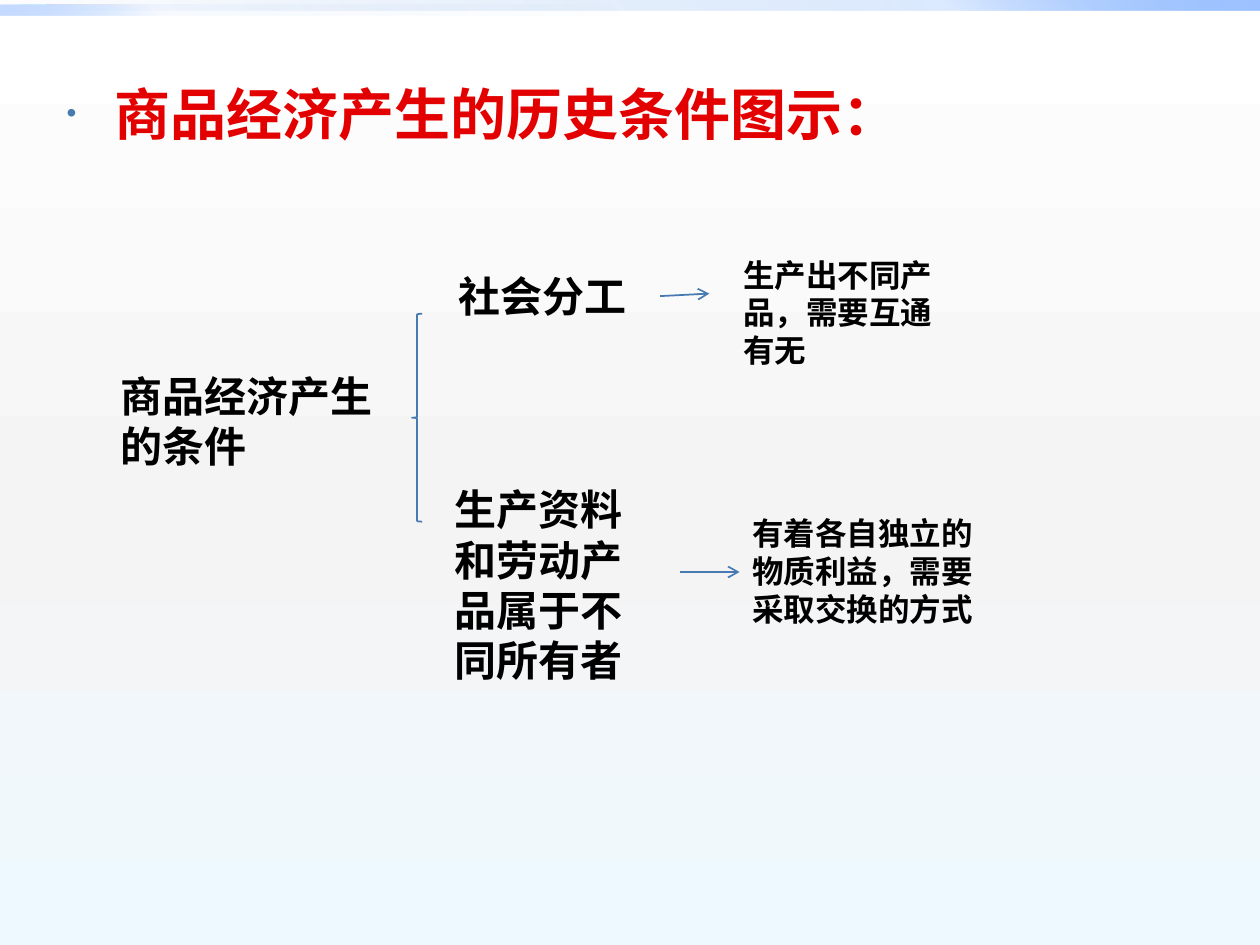
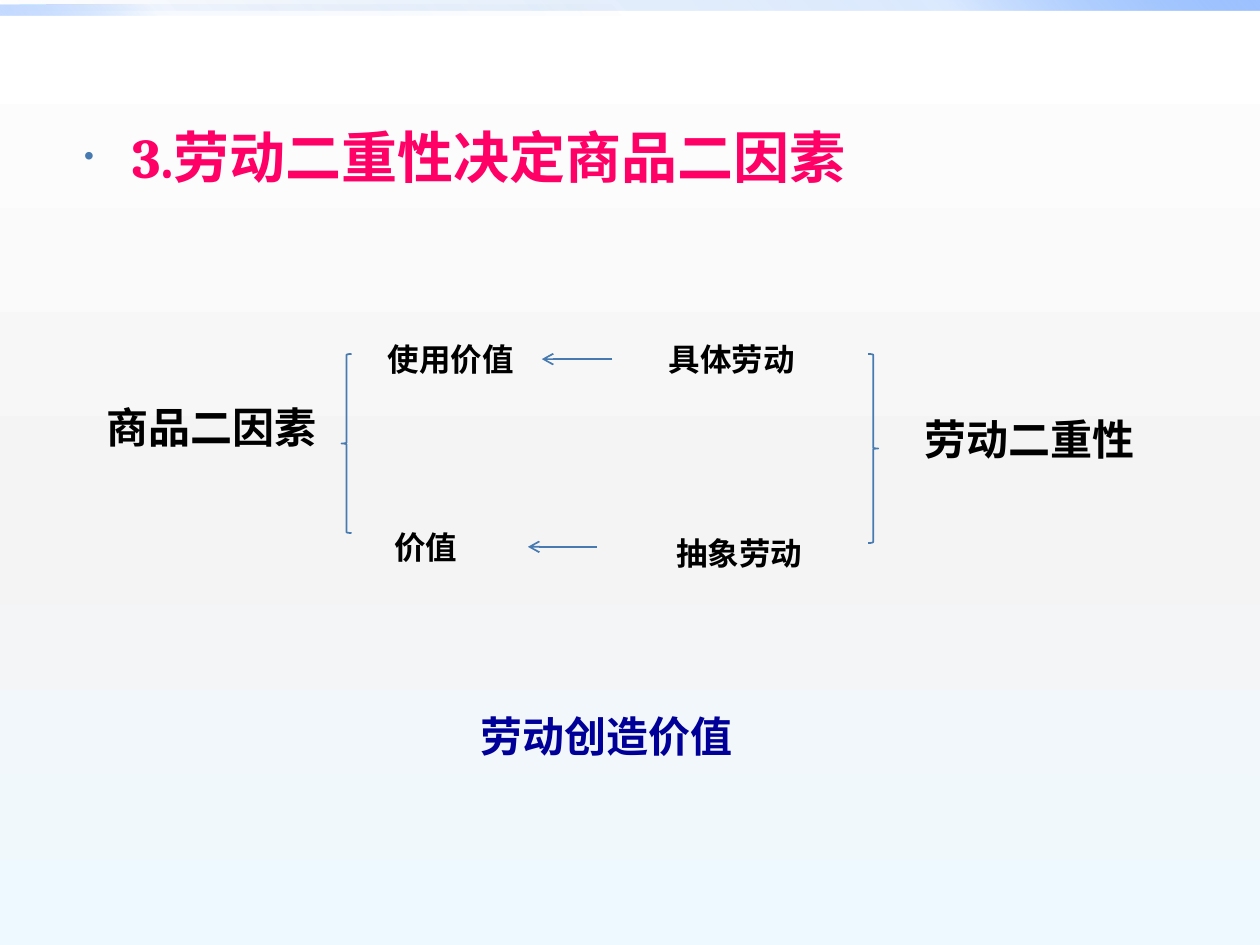
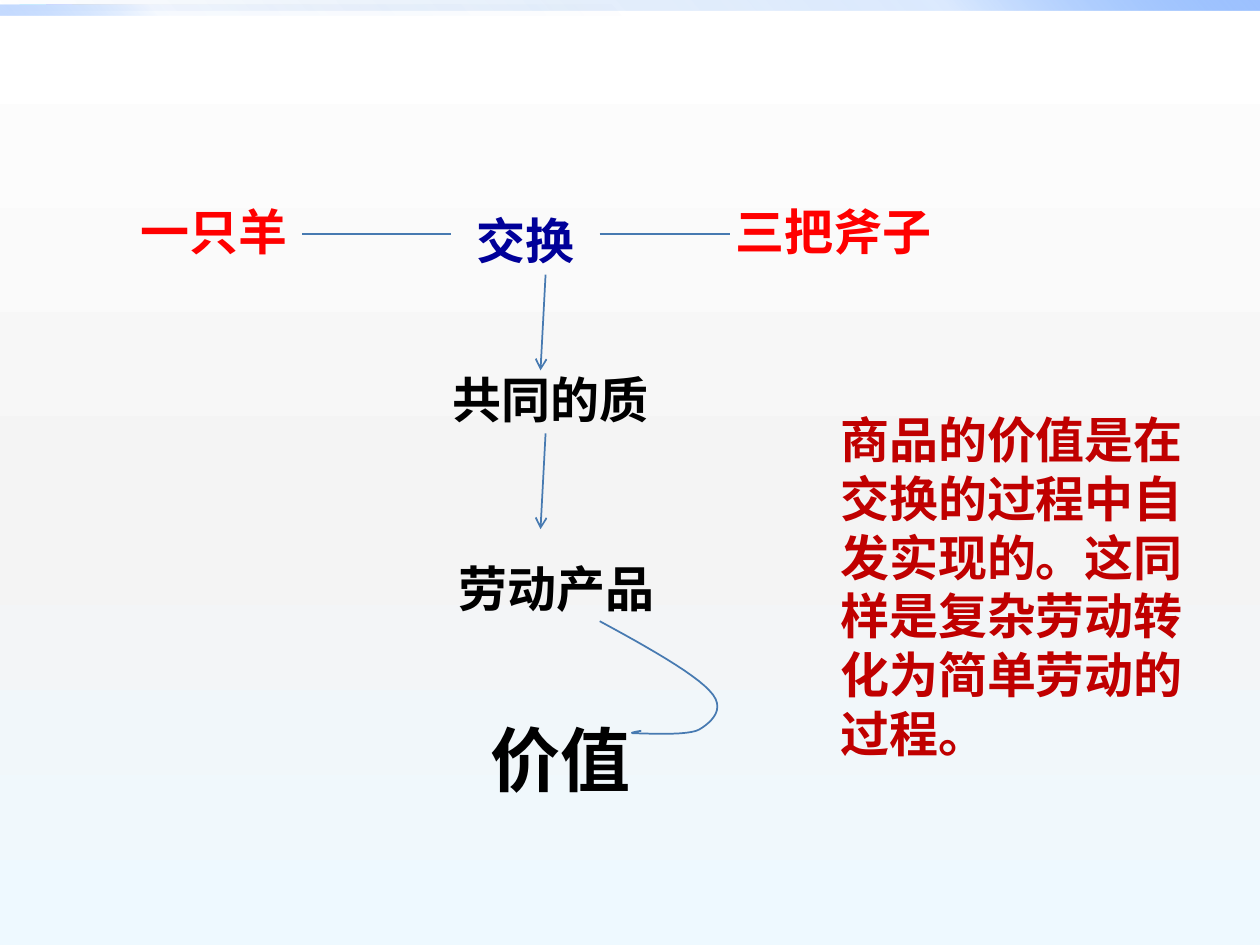
"""Build three slides on the commodity economy, labour and value."""
import lxml.etree
import pptx
import pptx.dml.color
import pptx.enum.lang
import pptx.enum.shapes
import pptx.enum.text
import pptx.oxml.ns
import pptx.util

Inches = pptx.util.Inches
Pt = pptx.util.Pt
RGBColor = pptx.dml.color.RGBColor
SHAPE = pptx.enum.shapes.MSO_SHAPE
LEFT = pptx.enum.text.PP_ALIGN.LEFT
MID = pptx.enum.text.PP_ALIGN.CENTER
qn = pptx.oxml.ns.qn

BLACK = RGBColor(0x00, 0x00, 0x00)
WHITE = RGBColor(0xFF, 0xFF, 0xFF)
GREY = RGBColor(0xF4, 0xF4, 0xF4)
ICE = RGBColor(0xEE, 0xF9, 0xFF)
DEEP = RGBColor(0x00, 0x58, 0xB7)
BLUE = RGBColor(0x4F, 0x95, 0xFF)
PALE = RGBColor(0x9E, 0xC2, 0xFF)
STEEL = RGBColor(0x47, 0x7A, 0xB1)
NAVY = RGBColor(0x00, 0x00, 0x99)
RED = RGBColor(0xFF, 0x00, 0x00)
BRICK = RGBColor(0xC0, 0x00, 0x00)
ROSE = RGBColor(0xFF, 0x00, 0x66)
FLAME = RGBColor(0xE3, 0x00, 0x00)
WINE = RGBColor(0x76, 0x03, 0x03)

FRAME = {"word_wrap": True,
         "auto_size": pptx.enum.text.MSO_AUTO_SIZE.SHAPE_TO_FIT_TEXT}
FONT = {"name": "Cambria", "bold": True,
        "language_id": pptx.enum.lang.MSO_LANGUAGE_ID.SIMPLIFIED_CHINESE}

BANDS = [
    (0, 10, 315, [(0, DEEP, 0), (75, BLUE, 20), (100, PALE, 100)]),
    (0.04, 5, 135, [(0, DEEP, 0), (75, BLUE, 5), (100, PALE, 60)]),
]

PAGES = [
    {
        "title": (0.43, 0.58, 0.67, "商品经济产生的历史条件图示：", None),
        "texts": [
            (0.86, 2.89, 2.4, 0.91, "商品经济产生的条件", 24, BLACK, LEFT),
            (3.54, 2.1, 1.7, 0.5, "社会分工", 24, BLACK, LEFT),
            (3.51, 3.79, 1.75, 1.72, "生产资料和劳动产品属于不同所有者", 24, BLACK, LEFT),
            (5.8, 1.98, 1.76, 1.01, "生产出不同产品，需要互通有无", 18, BLACK, LEFT),
            (5.87, 4.03, 2.18, 1.01, "有着各自独立的物质利益，需要采取交换的方式", 18, BLACK, LEFT),
        ],
        "braces": [(SHAPE.LEFT_BRACE, 3.27, 2.49, 1.65)],
        "ties": [(5.24, 2.35, 5.63, 2.33, True), (5.4, 4.54, 5.87, 4.54, True)],
        "curve": [],
    },
    {
        "title": (0.57, 0.92, 0.71, "3.劳动二重性决定商品二因素", ROSE),
        "texts": [
            (0.75, 3.14, 1.95, 0.5, "商品二因素", 24, BLACK, LEFT),
            (2.98, 2.65, 1.4, 0.4, "使用价值", 18, BLACK, LEFT),
            (3.03, 4.14, 1.1, 0.4, "价值", 18, BLACK, LEFT),
            (5.21, 2.65, 1.44, 0.4, "具体劳动", 18, BLACK, LEFT),
            (5.27, 4.19, 1.23, 0.4, "抽象劳动", 18, BLACK, LEFT),
            (7.24, 3.23, 2.17, 0.5, "劳动二重性", 24, BLACK, LEFT),
            (1.48, 5.59, 6.67, 0.5, "劳动创造价值", 24, NAVY, MID),
        ],
        "braces": [(SHAPE.LEFT_BRACE, 2.71, 2.81, 1.42),
                   (SHAPE.RIGHT_BRACE, 6.89, 2.81, 1.5)],
        "ties": [(4.86, 2.85, 4.3, 2.85, True), (4.74, 4.34, 4.19, 4.34, True)],
        "curve": [],
    },
    {
        "title": None,
        "texts": [
            (0.75, 1.55, 1.89, 0.57, "一只羊", 28, RED, MID),
            (5.08, 1.55, 3.07, 0.57, "三把斧子", 28, RED, MID),
            (3.5, 1.62, 1.34, 0.57, "交换", 28, NAVY, MID),
            (3.03, 2.88, 2.68, 0.57, "共同的质", 28, BLACK, MID),
            (3.35, 4.38, 2.13, 0.57, "劳动产品", 28, BLACK, MID),
            (3.58, 5.64, 1.73, 0.77, "价值", 40, BLACK, MID),
            (6.57, 3.2, 3.15, 2.93,
             "商品的价值是在交换的过程中自发实现的。这同样是复杂劳动转化为简单劳动的过程。",
             28, BRICK, LEFT),
        ],
        "braces": [],
        "ties": [(2.4, 1.86, 3.58, 1.86, False), (4.76, 1.86, 5.79, 1.86, False),
                 (4.33, 2.18, 4.29, 2.94, True), (4.33, 3.44, 4.29, 4.2, True)],
        "curve": [(4.76, 4.93), (5.13, 5.13), (5.5, 5.34), (5.63, 5.48),
                  (5.77, 5.62), (5.65, 5.73), (5.55, 5.79),
                  (5.46, 5.84), (5.13, 5.82), (5.05, 5.82),
                  (4.98, 5.82), (5.03, 5.81), (5.09, 5.8)],
    },
]


def blend(fill, root, stops, angle):
    """Give a fill its gradient stops (place, colour, opacity) and angle."""
    fill.gradient()
    grad = root.find(".//" + qn("a:gradFill"))
    for child in list(grad):
        grad.remove(child)
    group = lxml.etree.SubElement(grad, qn("a:gsLst"))
    for place, color, alpha in stops:
        stop = lxml.etree.SubElement(group, qn("a:gs"), pos=str(place * 1000))
        tint = lxml.etree.SubElement(stop, qn("a:srgbClr"), val=str(color))
        if alpha < 100:
            lxml.etree.SubElement(tint, qn("a:alpha"), val=str(alpha * 1000))
    lxml.etree.SubElement(grad, qn("a:lin"), ang=str(angle * 60000), scaled="0")


def write(slide, left, top, width, height, text, size, color, align):
    """Add a text box with one run and return its paragraph."""
    box = slide.shapes.add_textbox(
        Inches(left), Inches(top), Inches(width), Inches(height))
    for key, value in FRAME.items():
        setattr(box.text_frame, key, value)
    para = box.text_frame.paragraphs[0]
    para.alignment = align
    run = para.add_run()
    run.text = text
    for key, value in {**FONT, "size": Pt(size)}.items():
        setattr(run.font, key, value)
    if color is None:
        blend(run.font.fill, para._p, [(0, FLAME, 100), (100, WINE, 100)], 0)
    else:
        run.font.color.rgb = color
    return para


deck = pptx.Presentation()
deck.slide_width, deck.slide_height = Inches(10), Inches(7.5)
master = deck.slide_master
blend(master.background.fill, master._element,
      [(0, WHITE, 100), (55, GREY, 100), (100, ICE, 100)], 90)

for page in PAGES:
    slide = deck.slides.add_slide(deck.slide_layouts[6])
    shapes = slide.shapes

    for top, width, angle, stops in BANDS:
        band = shapes.add_shape(
            SHAPE.RECTANGLE, 0, Inches(top), Inches(width), Inches(0.08))
        band.shadow.inherit = False
        band.line.fill.background()
        blend(band.fill, band._element, stops, angle)

    if page["title"]:
        left, top, height, text, color = page["title"]
        para = write(slide, left, top, 9, height, text, 32, color, LEFT)
        props = para._p.get_or_add_pPr()
        props.set("marL", str(Inches(0.38)))
        props.set("indent", str(Inches(-0.38)))
        tint = lxml.etree.SubElement(props, qn("a:buClr"))
        lxml.etree.SubElement(tint, qn("a:srgbClr"), val=str(STEEL))
        lxml.etree.SubElement(props, qn("a:buSzPct"), val="50000")
        lxml.etree.SubElement(props, qn("a:buFont"), typeface="Arial")
        lxml.etree.SubElement(props, qn("a:buChar"), char="•")

    for item in page["texts"]:
        write(slide, *item)

    drawn = []
    for kind, left, top, height in page["braces"]:
        drawn.append(shapes.add_shape(
            kind, Inches(left), Inches(top), Inches(0.08), Inches(height)))

    if page["curve"]:
        knots = page["curve"]
        dots = []
        for first in range(0, len(knots) - 1, 3):
            a, b, c, d = knots[first:first + 4]
            for step in range(1, 13):
                t = step / 12
                u = 1 - t
                dots.append(tuple(
                    Inches(u**3 * a[i] + 3 * u * u * t * b[i]
                           + 3 * u * t * t * c[i] + t**3 * d[i])
                    for i in (0, 1)))
        pen = shapes.build_freeform(Inches(knots[0][0]), Inches(knots[0][1]))
        pen.add_line_segments(dots, close=False)
        drawn.append(pen.convert_to_shape())

    for shape in drawn:
        shape.shadow.inherit = False
        shape.fill.background()
        shape.line.color.rgb = STEEL
        shape.line.width = Pt(1)

    for *ends, arrow in page["ties"]:
        tie = shapes.add_connector(
            pptx.enum.shapes.MSO_CONNECTOR.STRAIGHT, *map(Inches, ends))
        tie.line.color.rgb = STEEL
        tie.line.width = Pt(1)
        props = tie._element.spPr
        if arrow:
            lxml.etree.SubElement(
                props.find(qn("a:ln")), qn("a:tailEnd"), type="arrow")
        lxml.etree.SubElement(props, qn("a:effectLst"))

deck.save("out.pptx")
